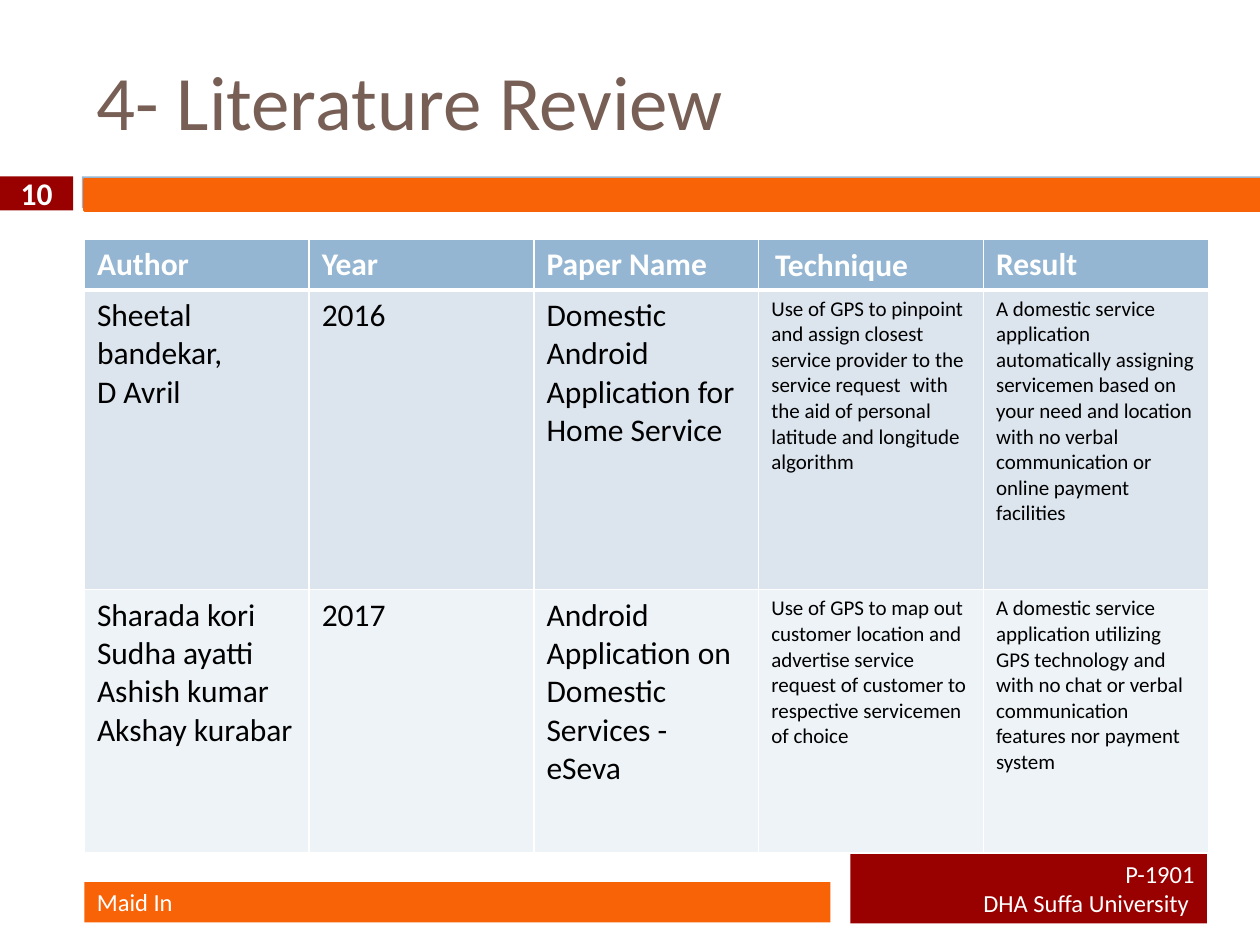
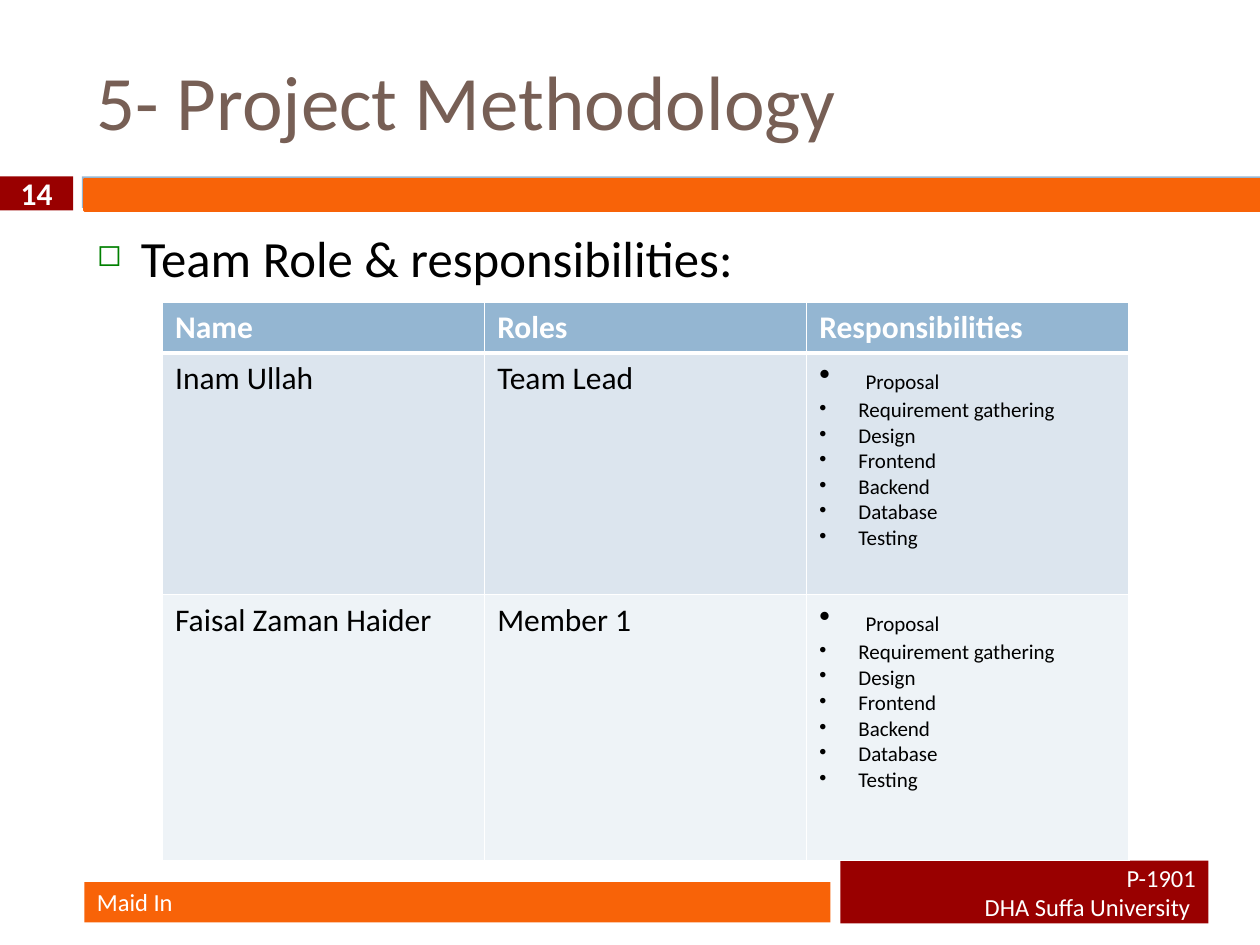
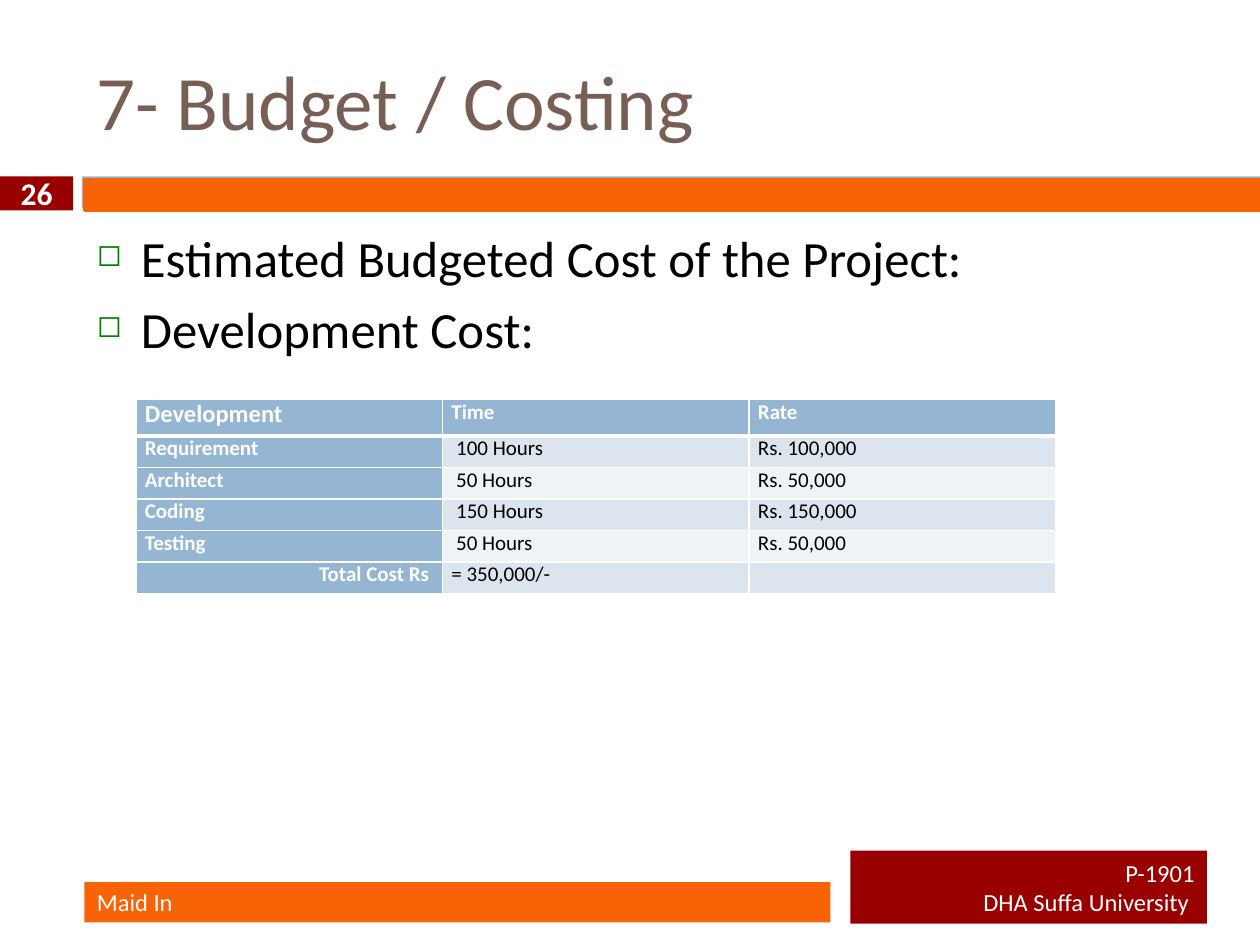
import pptx
import pptx.dml.color
import pptx.enum.shapes
import pptx.enum.text
import pptx.oxml.ns
import pptx.util
from lxml import etree

Inches = pptx.util.Inches
Pt = pptx.util.Pt
qn = pptx.oxml.ns.qn
ALIGN = pptx.enum.text.PP_ALIGN
MIDDLE = pptx.enum.text.MSO_ANCHOR.MIDDLE

FONT = "Calibri"
WHITE, BLACK, BROWN = "FFFFFF", "000000", "775F55"
BLUE, ORANGE, RED, GREEN = "94B6D2", "F86308", "990000", "008000"
ROW_BANDS = ("DCE5EE", "EEF3F7")
SQUARE_BULLET = {"char": "◻", "indent": 0.35, "color": GREEN, "percent": 60}
DOT_BULLET = {"char": "•", "indent": 0.31}

DUTIES = [[(" ", 18), ("Proposal", 12)], "Requirement gathering", "Design",
          "Frontend", "Backend", "Database", "Testing"]


def rgb(value):
    return pptx.dml.color.RGBColor.from_string(value)


def apply(target, values):
    for name, value in values.items():
        setattr(target, name, value)


def add_bullet(paragraph, char, indent, color=None, percent=None):
    props = paragraph._p.get_or_add_pPr()
    props.set("marL", str(Inches(indent)))
    props.set("indent", str(-Inches(indent)))
    if color:
        holder = etree.SubElement(props, qn("a:buClr"))
        etree.SubElement(holder, qn("a:srgbClr"), val=color)
    if percent:
        etree.SubElement(props, qn("a:buSzPct"), val=str(percent * 1000))
    etree.SubElement(props, qn("a:buChar"), char=char)


def add_borders(cell, widths):
    """Draw white cell edges; widths maps the edges L, R, T, B to points."""
    props = cell._tc.get_or_add_tcPr()
    for edge, width in widths.items():
        line = etree.SubElement(props, qn(f"a:ln{edge}"), w=str(Pt(width)))
        fill = etree.SubElement(line, qn("a:solidFill"))
        etree.SubElement(fill, qn("a:srgbClr"), val=WHITE)


class Deck:
    def __init__(self):
        self.presentation = pptx.Presentation()
        self.presentation.slide_width = Inches(10)
        self.presentation.slide_height = Inches(7.5)
        self.slide = None

    def fill_text(self, frame, paragraphs, size, color, bold=False, align=None,
                  bullet=None, gap=0):
        """Fill a frame; a paragraph is a string or a list of (text, size) runs."""
        frame.word_wrap = True
        for index, content in enumerate(paragraphs):
            paragraph = frame.paragraphs[0] if index == 0 else frame.add_paragraph()
            if index and gap:
                paragraph.space_before = Pt(gap)
            if bullet:
                add_bullet(paragraph, **bullet)
            if align is not None:
                paragraph.alignment = align
            if content == "":
                etree.SubElement(paragraph._p, qn("a:endParaRPr"), sz=str(size * 100))
                continue
            runs = [(content, size)] if isinstance(content, str) else content
            for text, run_size in runs:
                run = paragraph.add_run()
                run.text = text
                apply(run.font, {"name": FONT, "size": Pt(run_size), "bold": bold})
                run.font.color.rgb = rgb(color)

    def band(self, box, fill, paragraphs=(), size=14, outline=None, **style):
        shape = self.slide.shapes.add_shape(
            pptx.enum.shapes.MSO_SHAPE.RECTANGLE, *map(Inches, box))
        shape.shadow.inherit = False
        shape.fill.solid()
        shape.fill.fore_color.rgb = rgb(fill)
        if outline:
            shape.line.color.rgb = rgb(fill)
            shape.line.width = Pt(outline)
        else:
            shape.line.fill.background()
        shape.text_frame.vertical_anchor = MIDDLE
        self.fill_text(shape.text_frame, paragraphs, size, WHITE, **style)

    def text(self, box, paragraphs, size, color, anchor=None, **style):
        frame = self.slide.shapes.add_textbox(*map(Inches, box)).text_frame
        frame.vertical_anchor = anchor
        self.fill_text(frame, paragraphs, size, color, **style)

    def start(self, title, number, badge_box):
        """Add a slide with its title, bands, number and footers."""
        self.slide = self.presentation.slides.add_slide(
            self.presentation.slide_layouts[6])
        self.band((0.65, 1.4, 9.35, 0.25), BLUE)
        self.band((0.67, 1.42, 9.33, 0.25), ORANGE, outline=1.5)
        self.text((0.67, 0.25, 8.33, 1.08), [title], 44, BROWN, anchor=MIDDLE)
        self.band((0.67, 7, 5.92, 0.32), ORANGE, ["Maid In"], align=ALIGN.LEFT)
        self.band(badge_box, RED, ["P-1901", "DHA Suffa University "],
                  align=ALIGN.RIGHT)
        self.band((0, 1.4, 0.58, 0.27), RED, [str(number)], size=18, bold=True,
                  align=ALIGN.CENTER)

    def topics(self, items):
        self.text((0.67, 1.75, 8.92, 4.92), items, 29, BLACK,
                  bullet=SQUARE_BULLET, gap=6)

    def table(self, left, top, width, heights, rows, header_sizes, body_sizes,
              header_column=False, bullet_column=None, margins=None):
        """Add a banded table; a cell is a string or a list of paragraphs."""
        columns = len(rows[0])
        table = self.slide.shapes.add_table(
            len(rows), columns, Inches(left), Inches(top), Inches(width),
            Inches(sum(heights))).table
        apply(table, {"first_row": False, "horz_banding": False})
        for column in table.columns:
            column.width = Inches(width / columns)
        for r, (row, height) in enumerate(zip(rows, heights)):
            table.rows[r].height = Inches(height)
            for c, content in enumerate(row):
                cell = table.cell(r, c)
                is_header = r == 0 or (header_column and c == 0)
                add_borders(cell, {"L": 1, "R": 1, "T": 3 if r == 1 else 1,
                                   "B": 3 if r == 0 else 1})
                cell.fill.solid()
                cell.fill.fore_color.rgb = rgb(
                    BLUE if is_header else ROW_BANDS[(r - 1) % 2])
                apply(cell, margins or {})
                self.fill_text(
                    cell.text_frame,
                    [content] if isinstance(content, str) else content,
                    (header_sizes if r == 0 else body_sizes)[c],
                    WHITE if is_header else BLACK, bold=is_header,
                    bullet=DOT_BULLET if r and c == bullet_column else None)
        return table


def literature_review(deck):
    deck.start("4- Literature Review", 10, (6.75, 6.77, 2.83, 0.56))
    papers = [
        ["Author", "Year", "Paper Name", "Technique", "Result"],
        [["Sheetal bandekar,", "D Avril"], "2016",
         "Domestic Android Application for Home Service",
         "Use of GPS to pinpoint and assign closest service provider to the "
         "service request  with the aid of personal latitude and longitude algorithm",
         "A domestic service application automatically assigning servicemen based "
         "on your need and location with no verbal communication or online payment "
         "facilities"],
        [["Sharada kori", "Sudha ayatti", "Ashish kumar", "Akshay kurabar"], "2017",
         "Android Application on Domestic Services - eSeva",
         "Use of GPS to map out customer location and advertise service request of "
         "customer to respective servicemen of choice",
         "A domestic service application utilizing GPS technology and with no chat "
         "or verbal communication features nor payment system"],
    ]
    review = deck.table(0.67, 1.9, 8.92, [0.4, 2.38, 2.09], papers,
                        [18] * 5, [18, 18, 18, 12, 12])
    apply(review.cell(0, 3), {"margin_left": Inches(0.13), "margin_right": 0,
                              "margin_top": Inches(0.06), "margin_bottom": 0})


def project_methodology(deck):
    deck.start("5- Project Methodology", 14, (6.67, 6.83, 2.92, 0.5))
    deck.topics(["Team Role & responsibilities:"])
    team = [["Name", "Roles", "Responsibilities"],
            ["Inam Ullah", "Team Lead", DUTIES],
            ["Faisal Zaman Haider", "Member 1", DUTIES]]
    deck.table(1.29, 2.4, 7.67, [0.4, 1.92, 2.11], team, [18] * 3, [18, 18, 12],
               bullet_column=2)


def budget(deck):
    deck.start("7- Budget / Costing", 26, (6.75, 6.75, 2.83, 0.58))
    deck.topics(["Estimated Budgeted Cost of the Project:", "Development Cost:"])
    costs = [["Development", "Time", "Rate"],
             ["Requirement", " 100 Hours", "Rs. 100,000"],
             ["Architect", " 50 Hours", "Rs. 50,000"],
             ["Coding", " 150 Hours", "Rs. 150,000"],
             ["Testing", " 50 Hours", "Rs. 50,000"],
             ["Total Cost Rs ", "= 350,000/-", ""]]
    margins = {"margin_left": Inches(0.07), "margin_right": Inches(0.07),
               "margin_top": 0, "margin_bottom": 0}
    cost_table = deck.table(1.08, 3.17, 7.3, [0.29] + [0.25] * 5, costs,
                            [14, 12, 12], [12] * 3, header_column=True,
                            margins=margins)
    total_label = cost_table.cell(5, 0).text_frame.paragraphs[0]
    total_label.alignment = ALIGN.RIGHT


def main():
    deck = Deck()
    literature_review(deck)
    project_methodology(deck)
    budget(deck)
    deck.presentation.save("out.pptx")


if __name__ == "__main__":
    main()
